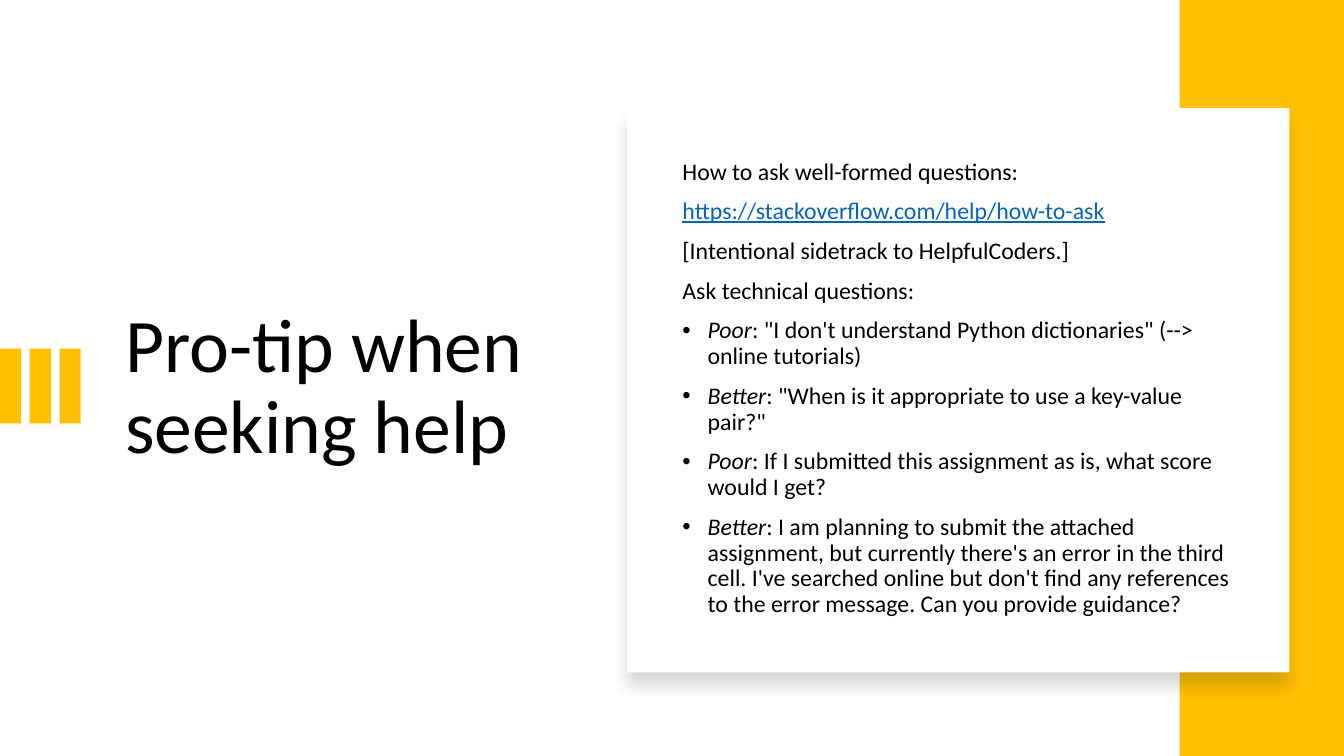
"""Build the slide with a tip on asking for help well."""
from dataclasses import dataclass

from lxml import etree
from pptx import Presentation
from pptx.dml.color import RGBColor
from pptx.enum.shapes import MSO_SHAPE
from pptx.enum.text import MSO_ANCHOR, MSO_AUTO_SIZE, PP_ALIGN
from pptx.oxml.ns import qn
from pptx.util import Inches, Pt

RECTANGLE = MSO_SHAPE.RECTANGLE
MIDDLE = MSO_ANCHOR.MIDDLE
NO_AUTOFIT = MSO_AUTO_SIZE.NONE
LEFT = PP_ALIGN.LEFT

AMBER = RGBColor(0xFF, 0xC0, 0x00)
WHITE = RGBColor(0xFF, 0xFF, 0xFF)
BLACK = RGBColor(0x00, 0x00, 0x00)
LINK_BLUE = RGBColor(0x05, 0x63, 0xC1)
FONT = "Calibri"
TITLE_SIZE = 54
BODY_SIZE = 17
BAR_COUNT = 3
BAR_SPAN = 0.59


@dataclass
class Block:
    """A filled rectangle, measured in inches."""
    left: float
    top: float
    width: float
    height: float
    color: RGBColor


@dataclass
class Span:
    """A run of text with its emphasis."""
    text: str
    color: RGBColor = BLACK
    italic: bool = False
    underline: bool = False


@dataclass
class Line:
    """A paragraph of the advice."""
    spans: list[Span]
    bullet: bool = False


def example(label: str, text: str) -> Line:
    """Return a bulleted line that opens with an italic label."""
    return Line([Span(label, italic=True), Span(f": {text}")], bullet=True)


BARS = [
    Block(index * BAR_SPAN / (BAR_COUNT - 1), 3.46, 0.21, 0.74, AMBER)
    for index in range(BAR_COUNT)
]
SIDE_BAND = Block(11.7, 0, 1.63, 7.5, AMBER)
CARD = Block(6.22, 1.07, 6.57, 5.6, WHITE)

ADVICE = [
    Line([Span("How to ask well-formed questions:")]),
    Line([Span("https://stackoverflow.com/help/how-to-ask", LINK_BLUE, underline=True)]),
    Line([Span("[Intentional sidetrack to HelpfulCoders.]")]),
    Line([Span("Ask technical questions:")]),
    example("Poor", '"I don\'t understand Python dictionaries" (--> online tutorials)'),
    example("Better", '"When is it appropriate to use a key-value pair?"'),
    example("Poor", "If I submitted this assignment as is, what score would I get?"),
    example(
        "Better",
        "I am planning to submit the attached assignment, but currently there's "
        "an error in the third cell. I've searched online but don't find any "
        "references to the error message. Can you provide guidance?",
    ),
]


def place(shape, left: float, top: float, width: float, height: float) -> None:
    """Set a shape's position and size in inches."""
    shape.left, shape.top = Inches(left), Inches(top)
    shape.width, shape.height = Inches(width), Inches(height)


def draw_block(shapes, block: Block):
    """Draw a plain rectangle and return it."""
    shape = shapes.add_shape(
        RECTANGLE, Inches(block.left), Inches(block.top),
        Inches(block.width), Inches(block.height),
    )
    shape.shadow.inherit = False
    shape.fill.solid()
    shape.fill.fore_color.rgb = block.color
    shape.line.fill.background()
    return shape


def add_soft_shadow(shape) -> None:
    """Give a shape a faint shadow that falls downwards."""
    effects = shape._element.spPr.find(qn("a:effectLst"))
    shadow = etree.SubElement(
        effects, qn("a:outerShdw"), blurRad=str(Pt(11)), dist=str(Pt(10)),
        dir="5400000", algn="t", rotWithShape="0",
    )
    color = etree.SubElement(shadow, qn("a:srgbClr"), val=str(BLACK))
    etree.SubElement(color, qn("a:alpha"), val="15000")


def prepare_frame(frame) -> None:
    """Make a text frame wrap and centre its text vertically."""
    frame.word_wrap = True
    frame.auto_size = NO_AUTOFIT
    frame.vertical_anchor = MIDDLE


def write_line(para, line: Line, size: float) -> None:
    """Fill a paragraph with the spans of a line."""
    if line.bullet:
        properties = para._p.get_or_add_pPr()
        properties.set("marL", str(Inches(0.25)))
        properties.set("indent", str(Inches(-0.25)))
        etree.SubElement(properties, qn("a:buFont"), typeface="Arial")
        etree.SubElement(properties, qn("a:buChar"), char="•")
    para.alignment = LEFT
    para.line_spacing = 0.9
    for span in line.spans:
        run = para.add_run()
        run.text = span.text
        run.font.name = FONT
        run.font.size = Pt(size)
        run.font.color.rgb = span.color
        run.font.italic = span.italic
        run.font.underline = span.underline


def write_title(title) -> None:
    """Place and fill the title placeholder."""
    place(title, 1.14, 1.46, 4.26, 4.79)
    prepare_frame(title.text_frame)
    heading = Line([Span("Pro-tip when seeking help")])
    write_line(title.text_frame.paragraphs[0], heading, TITLE_SIZE)


def write_advice(shapes) -> None:
    """Write the advice on the card."""
    box = shapes.add_textbox(Inches(6.67), Inches(1.46), Inches(5.75), Inches(4.79))
    frame = box.text_frame
    prepare_frame(frame)
    for index, line in enumerate(ADVICE):
        para = frame.add_paragraph() if index else frame.paragraphs[0]
        write_line(para, line, BODY_SIZE)
        para.space_before = Pt(10 if index else 0)


def main() -> None:
    """Build and save the deck."""
    deck = Presentation()
    deck.slide_width, deck.slide_height = Inches(13.33), Inches(7.5)
    page = deck.slides.add_slide(deck.slide_layouts[5])
    write_title(page.shapes.title)
    for block in [*BARS, SIDE_BAND]:
        draw_block(page.shapes, block)
    add_soft_shadow(draw_block(page.shapes, CARD))
    write_advice(page.shapes)
    deck.save("out.pptx")


if __name__ == "__main__":
    main()
